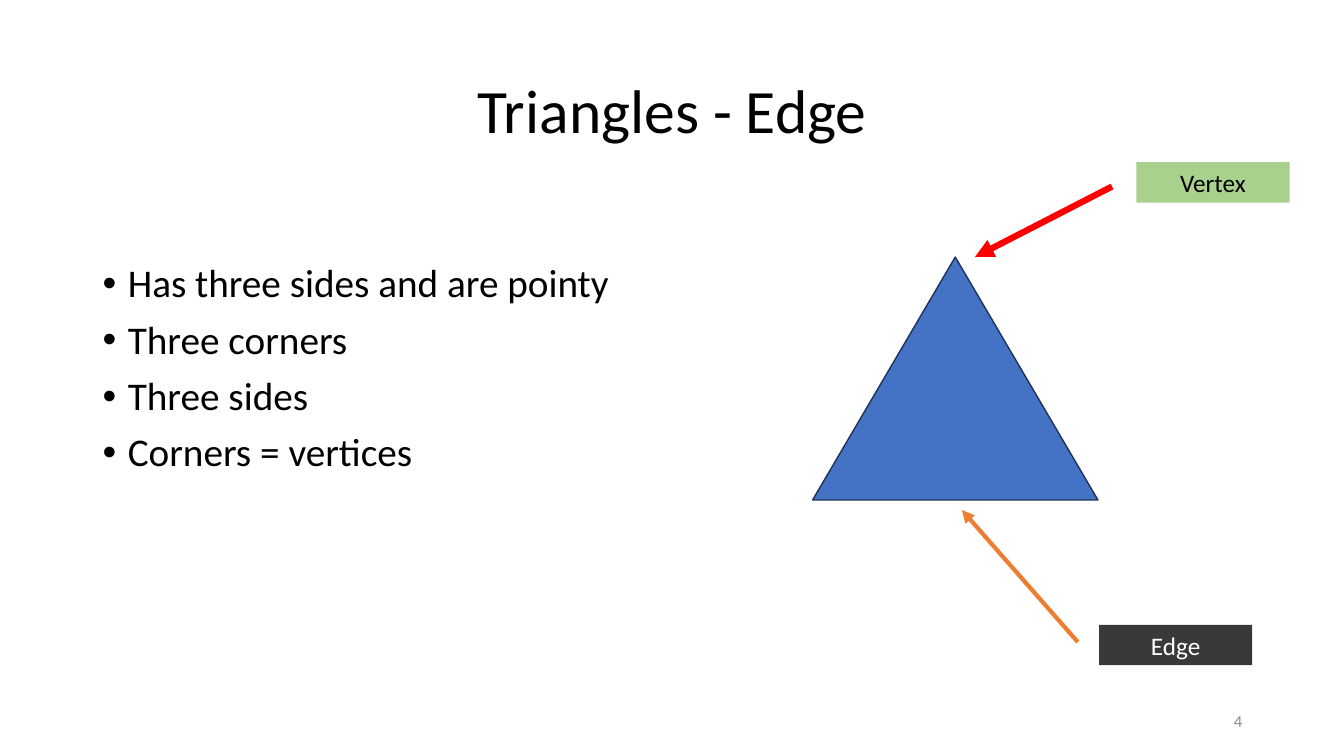
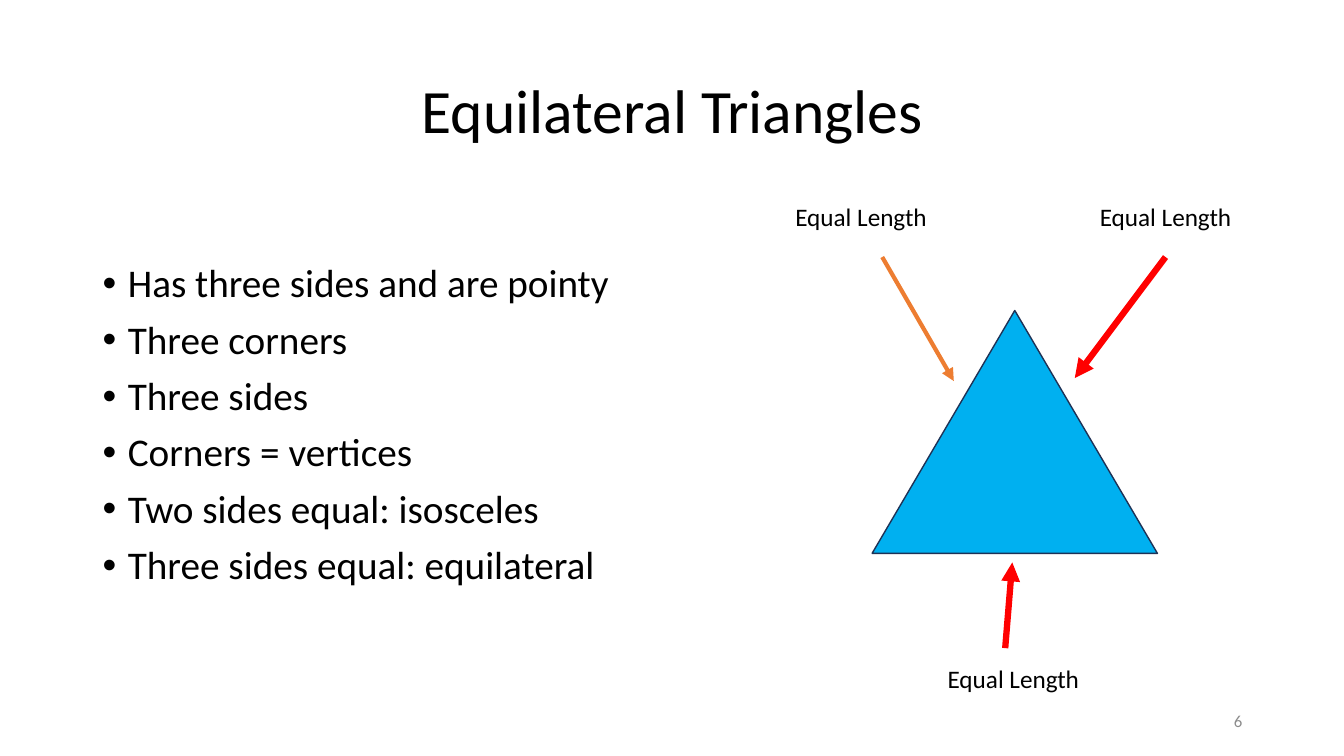
import pptx
import pptx.util
import pptx.dml.color
import pptx.enum.shapes
import pptx.enum.text
import pptx.oxml.ns
import lxml.etree

Inches = pptx.util.Inches
Pt = pptx.util.Pt
RGBColor = pptx.dml.color.RGBColor
MSO_SHAPE = pptx.enum.shapes.MSO_SHAPE
PP_ALIGN = pptx.enum.text.PP_ALIGN
MSO_ANCHOR = pptx.enum.text.MSO_ANCHOR
qn = pptx.oxml.ns.qn

BLACK = RGBColor(0x00, 0x00, 0x00)
WHITE = RGBColor(0xFF, 0xFF, 0xFF)
GRAY = RGBColor(0x8C, 0x8C, 0x8C)
CHARCOAL = RGBColor(0x3B, 0x38, 0x38)
GREEN = RGBColor(0xA9, 0xD1, 0x8E)
BLUE = RGBColor(0x44, 0x72, 0xC4)
SKY = RGBColor(0x00, 0xB0, 0xF0)
NAVY = RGBColor(0x1E, 0x32, 0x56)
ORANGE = RGBColor(0xED, 0x7D, 0x31)
RED = RGBColor(0xFF, 0x00, 0x00)


class Deck:
    font = "Calibri"
    left, width = 0.92, 11.5
    label_size = (1.52, 0.4)
    triangle_size = (2.83, 2.41)

    def __init__(self):
        self.prs = pptx.Presentation()
        self.prs.slide_width = Inches(13.33)
        self.prs.slide_height = Inches(7.5)

    def slide(self, title, bullets, number):
        self.s = self.prs.slides.add_slide(self.prs.slide_layouts[6])
        self.title(title)
        self.bullets(bullets)
        self.number(number)

    def box(self, x, y, w, h, anchor=MSO_ANCHOR.TOP):
        tf = self.s.shapes.add_textbox(Inches(x), Inches(y), Inches(w), Inches(h)).text_frame
        tf.word_wrap = True
        tf.vertical_anchor = anchor
        return tf

    def run(self, p, text, size, color=BLACK, align=PP_ALIGN.CENTER):
        p.alignment = align
        r = p.add_run()
        r.text = text
        r.font.name = self.font
        r.font.size = Pt(size)
        r.font.color.rgb = color

    def title(self, text):
        p = self.box(self.left, 0.4, self.width, 1.45, MSO_ANCHOR.MIDDLE).paragraphs[0]
        p.line_spacing = 0.9
        self.run(p, text, 44)

    def bullets(self, items):
        tf = self.box(self.left, 2.57, self.width, 4.19)
        for i, item in enumerate(items):
            p = tf.add_paragraph() if i else tf.paragraphs[0]
            p.line_spacing = 0.9
            p.space_after = Pt(10)
            self.run(p, item, 28, align=PP_ALIGN.LEFT)
            pPr = p._p.get_or_add_pPr()
            pPr.set("marL", str(Inches(0.25)))
            pPr.set("indent", str(Inches(-0.25)))
            lxml.etree.SubElement(pPr, qn("a:buFont")).set("typeface", "Arial")
            lxml.etree.SubElement(pPr, qn("a:buChar")).set("char", "•")

    def number(self, n):
        tf = self.box(9.42, 6.95, 3, 0.4, MSO_ANCHOR.MIDDLE)
        self.run(tf.paragraphs[0], str(n), 12, GRAY, PP_ALIGN.RIGHT)

    def shape(self, kind, x, y, size, fill):
        w, h = size
        sp = self.s.shapes.add_shape(kind, Inches(x), Inches(y), Inches(w), Inches(h))
        sp.shadow.inherit = False
        sp.fill.solid()
        sp.fill.fore_color.rgb = fill
        return sp

    def triangle(self, x, y, fill):
        sp = self.shape(MSO_SHAPE.ISOSCELES_TRIANGLE, x, y, self.triangle_size, fill)
        sp.line.color.rgb = NAVY
        sp.line.width = Pt(1)

    def label(self, text, x, y, fill=None, color=BLACK):
        if fill is None:
            tf = self.box(x, y, *self.label_size)
        else:
            sp = self.shape(MSO_SHAPE.RECTANGLE, x, y, self.label_size, fill)
            sp.line.fill.background()
            tf = sp.text_frame
            tf.vertical_anchor = MSO_ANCHOR.TOP
        tf.word_wrap = False
        self.run(tf.paragraphs[0], text, 18, color)

    def arrow(self, start, end, color=RED, width=4.5):
        points = [Inches(v) for v in (*start, *end)]
        c = self.s.shapes.add_connector(pptx.enum.shapes.MSO_CONNECTOR.STRAIGHT, *points)
        c.line.color.rgb = color
        c.line.width = Pt(width)
        spPr = c._element.spPr
        lxml.etree.SubElement(spPr.find(qn("a:ln")), qn("a:tailEnd")).set("type", "triangle")
        lxml.etree.SubElement(spPr, qn("a:effectLst"))


FACTS = ["Has three sides and are pointy", "Three corners", "Three sides", "Corners = vertices"]

deck = Deck()

deck.slide("Triangles - Edge", FACTS, 4)
deck.triangle(8.06, 2.55, BLUE)
deck.arrow((10.69, 6.37), (9.54, 5.06), ORANGE, 3)
deck.label("Edge", 10.9, 6.2, CHARCOAL, WHITE)
deck.arrow((11.03, 1.85), (9.67, 2.55))
deck.label("Vertex", 11.27, 1.61, GREEN)

deck.slide("Equilateral Triangles",
           FACTS + ["Two sides equal: isosceles", "Three sides equal: equilateral"], 6)
deck.triangle(8.65, 3.08, SKY)
for x, y in [(7.78, 1.95), (10.8, 1.95), (9.29, 6.53)]:
    deck.label("Equal Length", x, y)
deck.arrow((8.75, 2.55), (9.46, 3.78), ORANGE, 3)
deck.arrow((11.56, 2.55), (10.66, 3.75))
deck.arrow((9.97, 6.43), (10.04, 5.58))

deck.prs.save("out.pptx")
